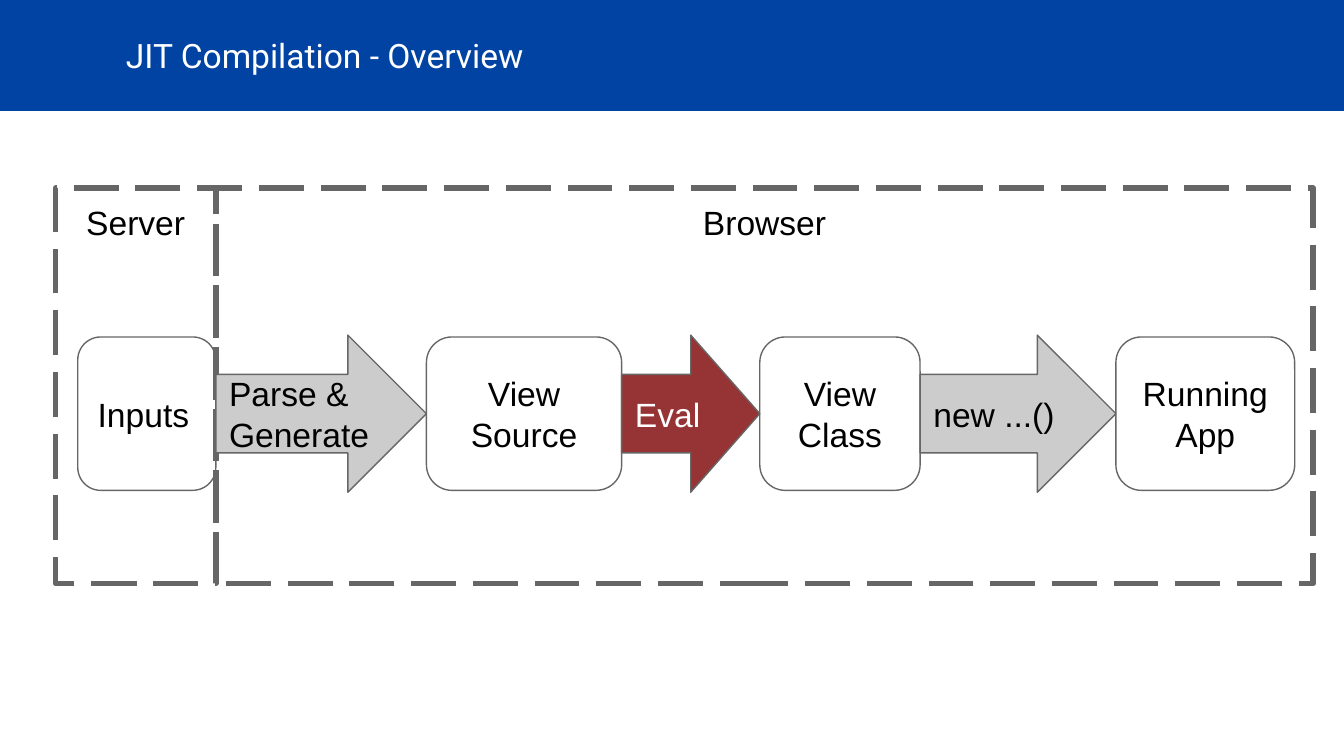
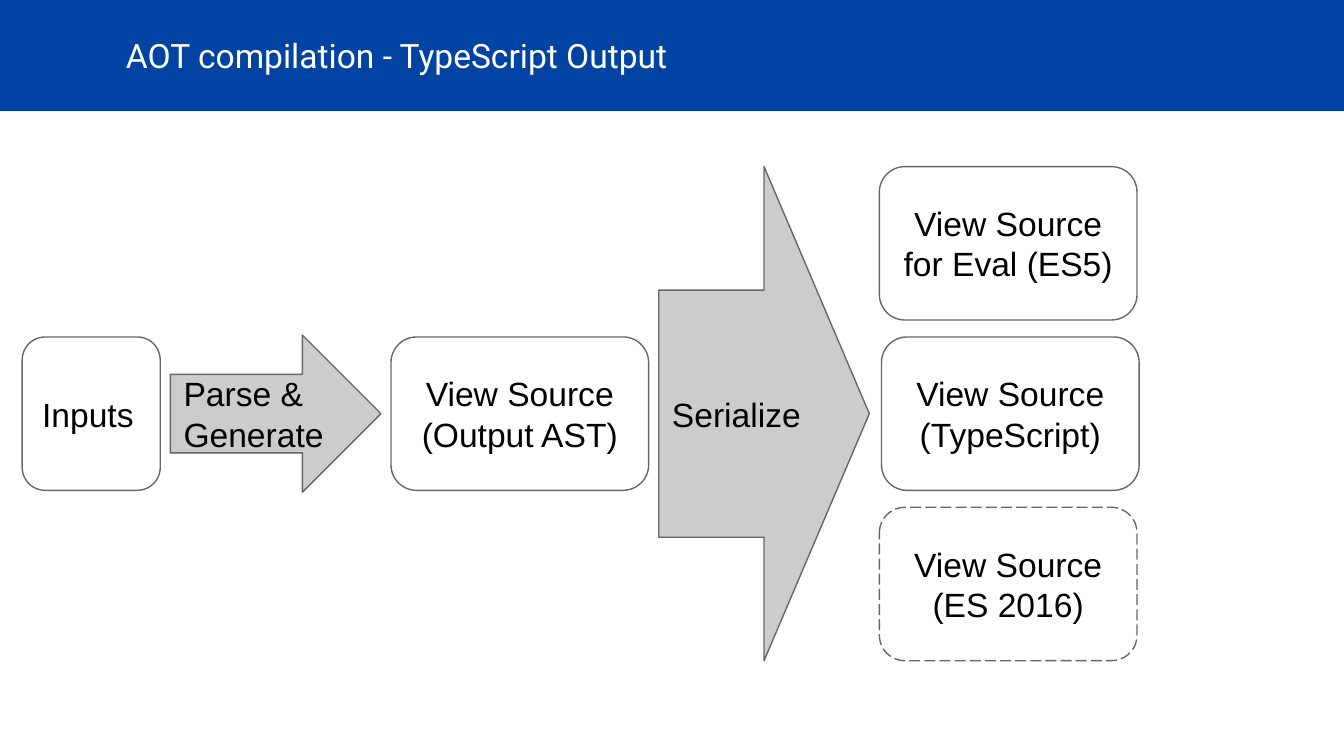
import dataclasses

import pptx
import pptx.dml.color
import pptx.enum.dml
import pptx.enum.shapes
import pptx.enum.text
import pptx.util

Cm = pptx.util.Cm
Pt = pptx.util.Pt
Shape = pptx.enum.shapes.MSO_SHAPE
Align = pptx.enum.text.PP_ALIGN
Anchor = pptx.enum.text.MSO_ANCHOR


@dataclasses.dataclass(frozen=True)
class Theme:
    """Colours, fonts and sizes for the whole deck."""
    blue: str = "0143A3"
    red: str = "963334"
    gray: str = "CCCCCC"
    edge: str = "666666"
    black: str = "000000"
    white: str = "FFFFFF"
    head: str = "Roboto"
    body: str = "Arial"
    size: int = 18
    thin: float = 0.75
    thick: float = 3
    inset: float = 0.25


# Layout in centimetres
WIDTH, HEIGHT = 25.4, 14.29
BAND = 2.1
MID = 7.82      # centre line of the flow
BOX = 2.9       # box height
ARROW = 2.97    # arrow height
STEP = 3.22     # distance between stacked boxes


def color(code):
    return pptx.dml.color.RGBColor.from_string(code)


class Deck:
    def __init__(self, theme):
        self.theme = theme
        self.file = pptx.Presentation()
        self.file.slide_width = Cm(WIDTH)
        self.file.slide_height = Cm(HEIGHT)
        self.layout = self.file.slide_layouts[5]
        self.slide = None

    def start(self, title):
        """Add a slide; the first one also gives the layout its band."""
        first = self.slide is None
        self.slide = self.file.slides.add_slide(self.layout)
        if first:
            band = self.shape(Shape.RECTANGLE, 0, 0, WIDTH, BAND,
                              fill=self.theme.blue, line=0)
            self.layout.shapes._spTree.insert(2, band._element)
        head = self.slide.shapes.title
        head.left, head.top = Cm(2.13), Cm(0)
        head.width, head.height = Cm(22.15), Cm(BAND)
        self.text(head, title, self.theme.white, self.theme.head)

    def text(self, shape, words, ink, font, align=Align.LEFT,
             anchor=Anchor.MIDDLE):
        frame = shape.text_frame
        frame.text = words
        frame.word_wrap = True
        frame.auto_size = pptx.enum.text.MSO_AUTO_SIZE.NONE
        frame.vertical_anchor = anchor
        frame.margin_left = frame.margin_right = Cm(self.theme.inset)
        frame.margin_top = frame.margin_bottom = Cm(self.theme.inset)
        for para in frame.paragraphs:
            para.alignment = align
            for run in para.runs:
                run.font.name = font
                run.font.size = Pt(self.theme.size)
                run.font.color.rgb = color(ink)

    def shape(self, kind, x, y, w, h, fill=None, line=None, dash=False):
        item = self.slide.shapes.add_shape(kind, Cm(x), Cm(y), Cm(w), Cm(h))
        item.shadow.inherit = False
        if fill:
            item.fill.solid()
            item.fill.fore_color.rgb = color(fill)
        else:
            item.fill.background()
        if line == 0:
            item.line.fill.background()
        else:
            item.line.color.rgb = color(self.theme.edge)
            item.line.width = Pt(line or self.theme.thin)
        if dash:
            item.line.dash_style = pptx.enum.dml.MSO_LINE.LONG_DASH
        return item

    def zone(self, words, x, w):
        item = self.shape(Shape.RECTANGLE, x, 3.56, w, 7.47,
                          line=self.theme.thick, dash=True)
        self.text(item, words, self.theme.black, self.theme.body,
                  Align.CENTER, Anchor.TOP)

    def box(self, words, x, w, mid=MID, align=Align.CENTER, dash=False):
        item = self.shape(Shape.ROUNDED_RECTANGLE, x, mid - BOX / 2, w, BOX,
                          dash=dash)
        self.text(item, words, self.theme.black, self.theme.body, align)

    def arrow(self, words, x, w, h=ARROW, fill=None, ink=None):
        item = self.shape(Shape.RIGHT_ARROW, x, MID - h / 2, w, h,
                          fill=fill or self.theme.gray)
        self.text(item, words, ink or self.theme.black, self.theme.body)

    def flow(self, x, gap, parts):
        """Set parts side by side and return the next free x."""
        for draw, words, w, style in parts:
            draw(words, x, w, **style)
            x += w + gap
        return x


def main():
    theme = Theme()
    deck = Deck(theme)
    left = {"align": Align.LEFT}
    inputs = (deck.box, "Inputs", 2.61, left)
    parse = (deck.arrow, "Parse & Generate", 3.98, {})

    # Slide 1: zones, then the steps across them
    deck.start("JIT Compilation - Overview")
    deck.zone("Server", 1.05, 3.03)
    deck.zone("Browser", 4.08, 20.74)
    deck.flow(1.47, 0, [
        inputs,
        parse,
        (deck.box, "View Source", 3.69, {}),
        (deck.arrow, "Eval", 2.61, {"fill": theme.red, "ink": theme.white}),
        (deck.box, "View Class", 3.03, {}),
        (deck.arrow, "new ...()", 3.7, {}),
        (deck.box, "Running App", 3.38, {}),
    ])

    # Slide 2: one flow that ends in three outputs
    deck.start("AOT compilation - TypeScript Output")
    wide = 4.87
    x = deck.flow(0.42, 0.19, [
        inputs,
        parse,
        (deck.box, "View Source\n(Output AST)", wide, {}),
        (deck.arrow, "Serialize", 3.98, {"h": 2 * STEP + BOX}),
    ])
    deck.box("View Source\nfor Eval (ES5)", x, wide, MID - STEP)
    deck.box("View Source\n(TypeScript)", x + 0.04, wide)
    deck.box("View Source\n(ES 2016)", x, wide, MID + STEP, dash=True)

    deck.file.save("out.pptx")


if __name__ == "__main__":
    main()
